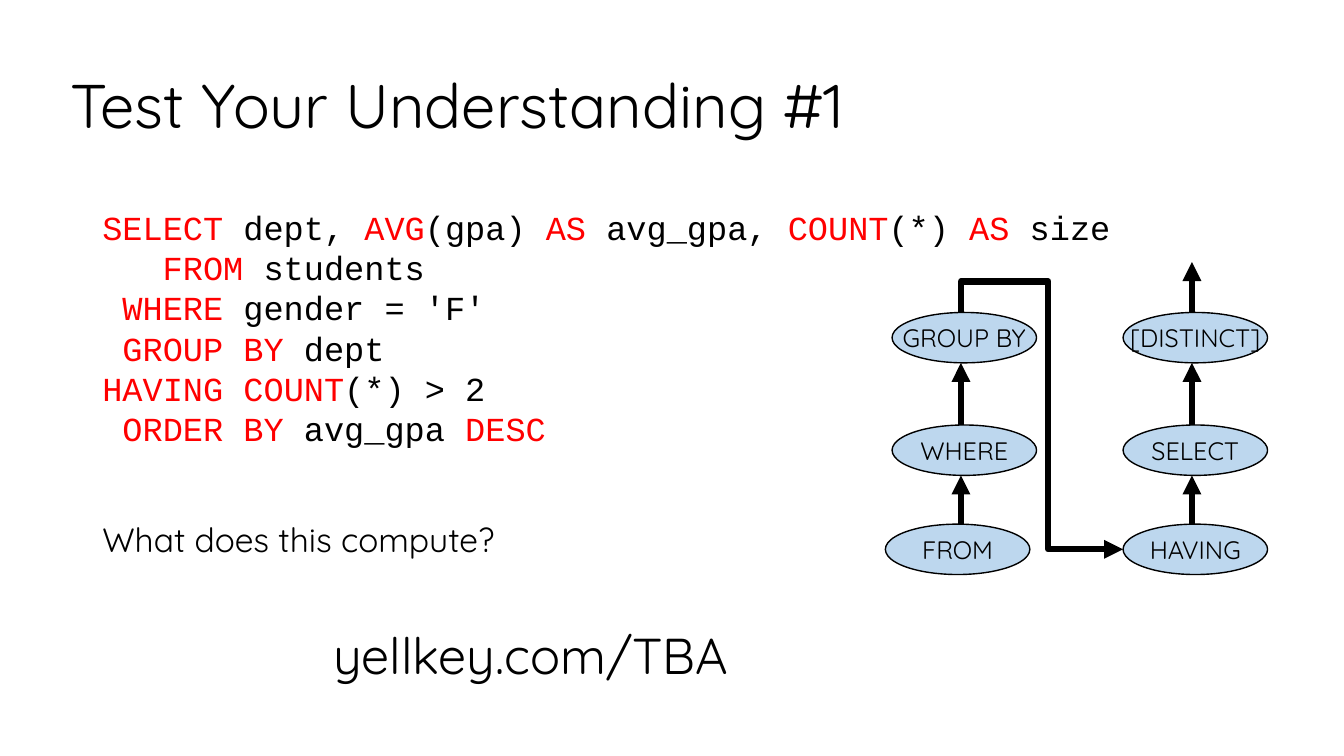
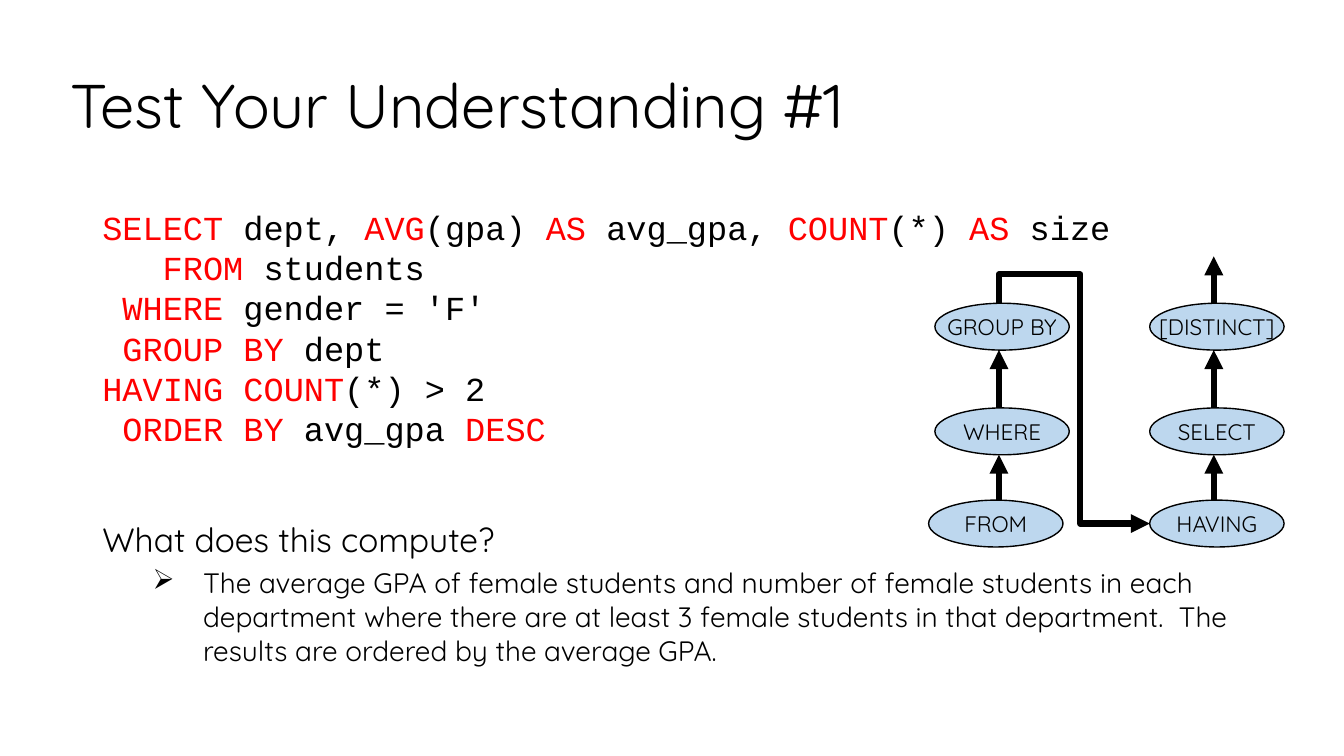
from lxml import etree
from pptx import Presentation
from pptx.dml.color import RGBColor
from pptx.enum.shapes import MSO_CONNECTOR, MSO_SHAPE
from pptx.enum.text import MSO_ANCHOR, PP_ALIGN
from pptx.oxml.ns import qn
from pptx.util import Inches, Pt

BLACK = RGBColor(0x00, 0x00, 0x00)
KEYWORD_RED = RGBColor(0xFF, 0x00, 0x00)
OVAL_BLUE = RGBColor(0xBD, 0xD7, 0xEE)
TEXT_FONT = "Quicksand"
CODE_FONT = "Courier New"
STRAIGHT, OVAL = MSO_CONNECTOR.STRAIGHT, MSO_SHAPE.OVAL
MIDDLE, TOP = MSO_ANCHOR.MIDDLE, MSO_ANCHOR.TOP
LEFT, CENTER = PP_ALIGN.LEFT, PP_ALIGN.CENTER

# The slide is a grid of 32 columns by 18 rows of square cells
CELL = Inches(7.5) / 18
TITLE_AREA = (1.44, 0.84, 28.34, 3.48)
BODY_AREA = (2.2, 4.8, 27.6, 11.4)
LINK_AREA = (7.7, 14.74, 10.15, 1.7)

# Evaluation order diagram, in cells from its top left oval
OVAL_SIZE = (3.44, 1.2)
COLUMN_STEP = 5.5
OVAL_ROWS = (0, 2.68, 5.04)
FROM_SHIFT = -0.16
ARROW_INSET = 1.64
ELBOW_TOP, ELBOW_COLUMN = -0.74, 3.72
EXIT_TOP = -1.2
STEPS = (("GROUP BY", "WHERE", "FROM"), ("[DISTINCT]", "SELECT", "HAVING"))

# Keywords stand between bars
QUERY = (
    "|SELECT| dept, |AVG|(gpa) |AS| avg_gpa, |COUNT|(*) |AS| size",
    "   |FROM| students",
    " |WHERE| gender = 'F'",
    " |GROUP BY| dept",
    "|HAVING COUNT|(*) > 2",
    " |ORDER BY| avg_gpa |DESC|",
)
QUESTION = "What does this compute?"
ANSWER = (
    "The average GPA of female students and number of female students in each "
    "department where there are at least 3 female students in that department.  "
    "The results are ordered by the average GPA."
)


def cells(*counts):
    return [round(count * CELL) for count in counts]


class Deck:
    """Holds the shared style and the slide being built."""

    def __init__(self):
        self.presentation = Presentation()
        self.presentation.slide_width, self.presentation.slide_height = cells(32, 18)
        self.slide = None

    def style(self, paragraph, size, color=BLACK, align=LEFT):
        paragraph.alignment = align
        paragraph.font.name = TEXT_FONT
        paragraph.font.size = Pt(size)
        paragraph.font.color.rgb = color

    def add_slide(self, title):
        layout = self.presentation.slide_layouts[5]
        self.slide = self.presentation.slides.add_slide(layout)
        shape = self.slide.shapes.title
        shape.left, shape.top, shape.width, shape.height = cells(*TITLE_AREA)
        frame = shape.text_frame
        frame.text = title
        frame.vertical_anchor = MIDDLE
        frame.paragraphs[0].line_spacing = 0.9
        self.style(frame.paragraphs[0], 44)

    def text_box(self, area):
        frame = self.slide.shapes.add_textbox(*cells(*area)).text_frame
        frame.word_wrap = True
        frame.vertical_anchor = TOP
        return frame

    def code(self, paragraph, lines):
        self.style(paragraph, 24)
        for number, line in enumerate(lines):
            if number:
                paragraph.add_line_break()
            for position, piece in enumerate(line.split("|")):
                if piece:
                    run = paragraph.add_run()
                    run.text = piece
                    run.font.name = CODE_FONT
                    run.font.color.rgb = KEYWORD_RED if position % 2 else BLACK

    def bullet(self, paragraph, text):
        paragraph.text = text
        paragraph.space_before = Pt(5)
        properties = paragraph._p.get_or_add_pPr()
        properties.set("marL", str(Inches(1)))
        properties.set("indent", str(Inches(-0.5)))
        etree.SubElement(properties, qn("a:buChar")).set("char", "➢")
        self.style(paragraph, 20)

    def body(self, query, question, answer=None):
        frame = self.text_box(BODY_AREA)
        self.code(frame.paragraphs[0], query)
        paragraph = frame.add_paragraph()
        paragraph.text = question
        paragraph.space_before = Pt(50)
        self.style(paragraph, 24)
        if answer:
            self.bullet(frame.add_paragraph(), answer)

    def link(self, text):
        paragraph = self.text_box(LINK_AREA).paragraphs[0]
        paragraph.text = text
        self.style(paragraph, 36)

    def oval(self, area, text, size):
        shape = self.slide.shapes.add_shape(OVAL, *cells(*area))
        shape.shadow.inherit = False
        shape.fill.solid()
        shape.fill.fore_color.rgb = OVAL_BLUE
        shape.line.color.rgb = BLACK
        shape.line.width = Pt(1)
        frame = shape.text_frame
        frame.text = text
        frame.word_wrap = False
        frame.vertical_anchor = MIDDLE
        self.style(frame.paragraphs[0], size, align=CENTER)

    def arrow_line(self, line):
        line.color.rgb = BLACK
        line.width = Pt(4.5)
        etree.SubElement(line._get_or_add_ln(), qn("a:tailEnd")).set("type", "triangle")

    def arrow(self, start, end):
        connector = self.slide.shapes.add_connector(STRAIGHT, *cells(*start, *end))
        self.arrow_line(connector.line)
        etree.SubElement(connector._element.spPr, qn("a:effectLst"))

    def bent_arrow(self, points):
        first, *others = [cells(*point) for point in points]
        builder = self.slide.shapes.build_freeform(*first)
        builder.add_line_segments(others, close=False)
        shape = builder.convert_to_shape()
        shape.fill.background()
        self.arrow_line(shape.line)
        shape.shadow.inherit = False

    def evaluation_order(self, left, top, size, scale=1):
        def place(column, row):
            return left + column * scale, top + row * scale

        width, height = OVAL_SIZE
        # Ovals
        for column, names in enumerate(STEPS):
            for row, name in zip(OVAL_ROWS, names):
                shift = FROM_SHIFT if name == "FROM" else 0
                corner = place(column * COLUMN_STEP + shift, row)
                self.oval((*corner, width * scale, height * scale), name, size)
        # Upward arrows between ovals
        for column in range(len(STEPS)):
            center = column * COLUMN_STEP + ARROW_INSET
            for upper, lower in zip(OVAL_ROWS, OVAL_ROWS[1:]):
                self.arrow(place(center, lower), place(center, upper + height))
        # Link between the columns, and the way out
        last_middle = OVAL_ROWS[-1] + height / 2
        self.bent_arrow([
            place(ARROW_INSET, 0),
            place(ARROW_INSET, ELBOW_TOP),
            place(ELBOW_COLUMN, ELBOW_TOP),
            place(ELBOW_COLUMN, last_middle),
            place(COLUMN_STEP, last_middle),
        ])
        exit_column = COLUMN_STEP + ARROW_INSET
        self.arrow(place(exit_column, 0), place(exit_column, EXIT_TOP))


def main():
    deck = Deck()
    title = "Test Your Understanding #1"

    # Question
    deck.add_slide(title)
    deck.body(QUERY, QUESTION)
    deck.link("yellkey.com/TBA")
    deck.evaluation_order(21.24, 7.44, size=18)

    # Question with its answer
    deck.add_slide(title)
    deck.body(QUERY, QUESTION, ANSWER)
    deck.evaluation_order(22.26, 7.22, size=16, scale=0.93)

    deck.presentation.save("out.pptx")


if __name__ == "__main__":
    main()
